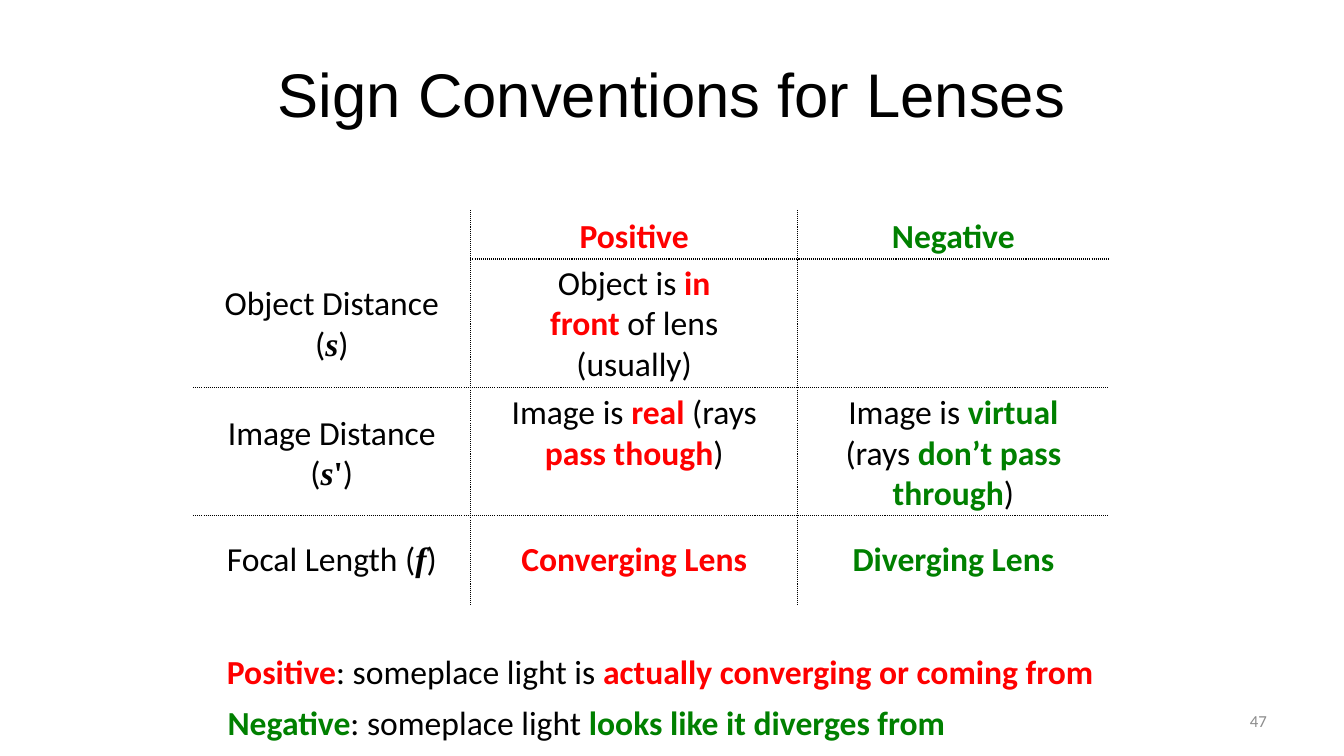
from typing import NamedTuple

from lxml.etree import SubElement
from pptx import Presentation
from pptx.dml.color import RGBColor
from pptx.enum.dml import MSO_LINE
from pptx.enum.shapes import MSO_CONNECTOR
from pptx.enum.text import MSO_ANCHOR as Anchor, MSO_AUTO_SIZE as AutoSize, PP_ALIGN as Align
from pptx.oxml.ns import qn
from pptx.slide import Slide
from pptx.text.text import TextFrame
from pptx.util import Pt

BLACK = RGBColor(0x00, 0x00, 0x00)
RED = RGBColor(0xFF, 0x00, 0x00)
GREEN = RGBColor(0x00, 0x80, 0x00)
GREY = RGBColor(0x8C, 0x8C, 0x8C)

PLAIN = {"name": "Calibri", "size": Pt(24), "bold": False, "italic": False, "color": BLACK}
POSITIVE = PLAIN | {"bold": True, "color": RED}
NEGATIVE = PLAIN | {"bold": True, "color": GREEN}
PRIME = PLAIN | {"name": "Times New Roman", "bold": True}
SYMBOL = PRIME | {"italic": True}
TITLE = PLAIN | {"name": "Arial", "size": Pt(44)}
PAGE_NUMBER = PLAIN | {"size": Pt(12), "color": GREY}

# Grid edges and column centres, in points
LEFT, FIRST_RULE, SECOND_RULE, RIGHT = 138, 336, 570, 792
TOP, HEADER_RULE, OBJECT_RULE, IMAGE_RULE, BOTTOM = 150, 185, 276.5, 368, 432
LABELS, POSITIVES, NEGATIVES = 237, 453, 681
FOCAL_TOP = 381


class Piece(NamedTuple):
    text: str
    style: dict


class Cell(NamedTuple):
    center: float
    top: float
    width: float
    lines: int
    pieces: list[Piece]


class Note(NamedTuple):
    left: float
    top: float
    width: float
    pieces: list[Piece]


class Rule(NamedTuple):
    x1: float
    y1: float
    x2: float
    y2: float


CELLS = [
    Cell(POSITIVES, TOP, 174, 1, [Piece("Positive", POSITIVE)]),
    Cell(NEGATIVES, TOP, 174, 1, [Piece("Negative", NEGATIVE)]),
    Cell(LABELS, 198, 174, 2, [
        Piece("Object Distance (", PLAIN), Piece("s", SYMBOL), Piece(")", PLAIN)]),
    Cell(POSITIVES, 183.6, 174, 3, [
        Piece("Object is ", PLAIN), Piece("in front", POSITIVE),
        Piece(" of lens (usually)", PLAIN)]),
    Cell(LABELS, 290.4, 174, 2, [
        Piece("Image Distance (", PLAIN), Piece("s", SYMBOL),
        Piece("'", PRIME), Piece(")", PLAIN)]),
    Cell(POSITIVES, 276, 204, 2, [
        Piece("Image is ", PLAIN), Piece("real ", POSITIVE), Piece("(rays ", PLAIN),
        Piece("pass though", POSITIVE), Piece(")", PLAIN)]),
    Cell(NEGATIVES, 276, 209, 3, [
        Piece("Image is ", PLAIN), Piece("virtual ", NEGATIVE), Piece("(rays ", PLAIN),
        Piece("don’t pass through", NEGATIVE), Piece(")", PLAIN)]),
    Cell(LABELS, FOCAL_TOP, 198, 1, [
        Piece("Focal Length (", PLAIN), Piece("f", SYMBOL), Piece(")", PLAIN)]),
    Cell(POSITIVES, FOCAL_TOP, 234, 1, [Piece("Converging Lens", POSITIVE)]),
    Cell(NEGATIVES, FOCAL_TOP, 204, 1, [Piece("Diverging Lens", NEGATIVE)]),
]

NOTES = [
    Note(155, 461.5, 649, [
        Piece("Positive", POSITIVE), Piece(": someplace light is ", PLAIN),
        Piece("actually converging or coming from", POSITIVE)]),
    Note(155.5, 498, 624, [
        Piece("Negative", NEGATIVE), Piece(": someplace light ", PLAIN),
        Piece("looks like it diverges from", NEGATIVE)]),
]

RULES = [
    Rule(FIRST_RULE, HEADER_RULE, RIGHT, HEADER_RULE),
    Rule(LEFT, OBJECT_RULE, RIGHT, OBJECT_RULE),
    Rule(LEFT, IMAGE_RULE, RIGHT, IMAGE_RULE),
    Rule(FIRST_RULE, TOP, FIRST_RULE, BOTTOM),
    Rule(SECOND_RULE, TOP, SECOND_RULE, BOTTOM),
]


def text_height(lines: int) -> float:
    return 7.4 + 29 * lines


def write(frame: TextFrame, pieces: list[Piece], align: Align) -> None:
    paragraph = frame.paragraphs[0]
    paragraph.alignment = align
    for piece in pieces:
        run = paragraph.add_run()
        run.text = piece.text
        for attribute, value in piece.style.items():
            if attribute == "color":
                run.font.color.rgb = value
            else:
                setattr(run.font, attribute, value)


def add_text(slide: Slide, left: float, top: float, width: float, height: float,
             pieces: list[Piece], align: Align = Align.LEFT,
             anchor: Anchor = Anchor.TOP, fit: AutoSize = AutoSize.SHAPE_TO_FIT_TEXT) -> None:
    frame = slide.shapes.add_textbox(Pt(left), Pt(top), Pt(width), Pt(height)).text_frame
    layout = {"word_wrap": True, "auto_size": fit, "vertical_anchor": anchor}
    for attribute, value in layout.items():
        setattr(frame, attribute, value)
    write(frame, pieces, align)


def add_title(slide: Slide, text: str) -> None:
    title = slide.shapes.title
    place = {"left": Pt(48), "top": Pt(21.6), "width": Pt(864), "height": Pt(90)}
    for attribute, value in place.items():
        setattr(title, attribute, value)
    title.text_frame.vertical_anchor = Anchor.MIDDLE
    write(title.text_frame, [Piece(text, TITLE)], Align.CENTER)


def add_rule(slide: Slide, rule: Rule) -> None:
    connector = slide.shapes.add_connector(MSO_CONNECTOR.STRAIGHT, *map(Pt, rule))
    connector.line.color.rgb = BLACK
    connector.line.width = Pt(0.75)
    connector.line.dash_style = MSO_LINE.ROUND_DOT
    SubElement(connector._element.spPr, qn("a:effectLst"))


def main() -> None:
    deck = Presentation()
    deck.slide_width, deck.slide_height = Pt(960), Pt(540)
    slide = deck.slides.add_slide(deck.slide_layouts.get_by_name("Title Only"))

    add_title(slide, "Sign Conventions for Lenses")
    for cell in CELLS:
        add_text(slide, cell.center - cell.width / 2, cell.top, cell.width,
                 text_height(cell.lines), cell.pieces, Align.CENTER)
    for rule in RULES:
        add_rule(slide, rule)
    for note in NOTES:
        add_text(slide, note.left, note.top, note.width, text_height(1), note.pieces)
    add_text(slide, 688, 500.5, 224, 28.8, [Piece("47", PAGE_NUMBER)],
             Align.RIGHT, Anchor.MIDDLE, AutoSize.NONE)

    deck.save("out.pptx")


if __name__ == "__main__":
    main()
